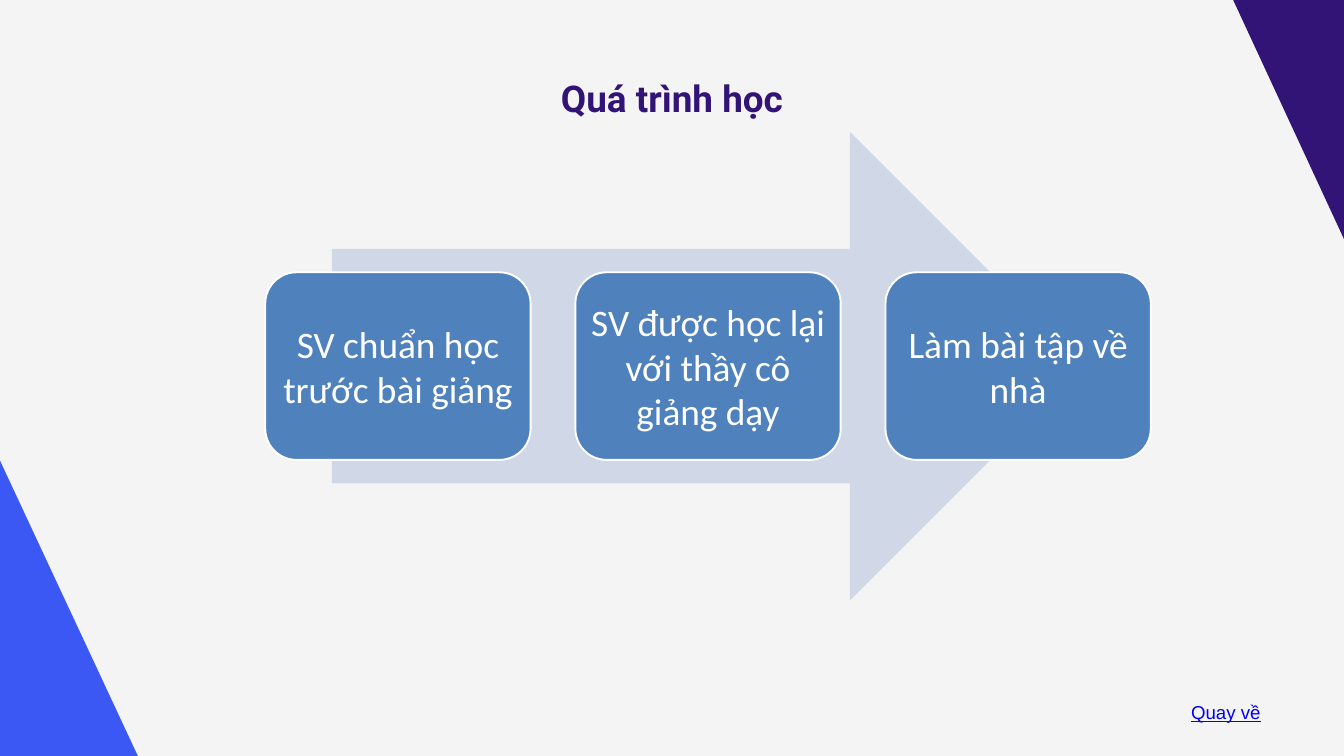
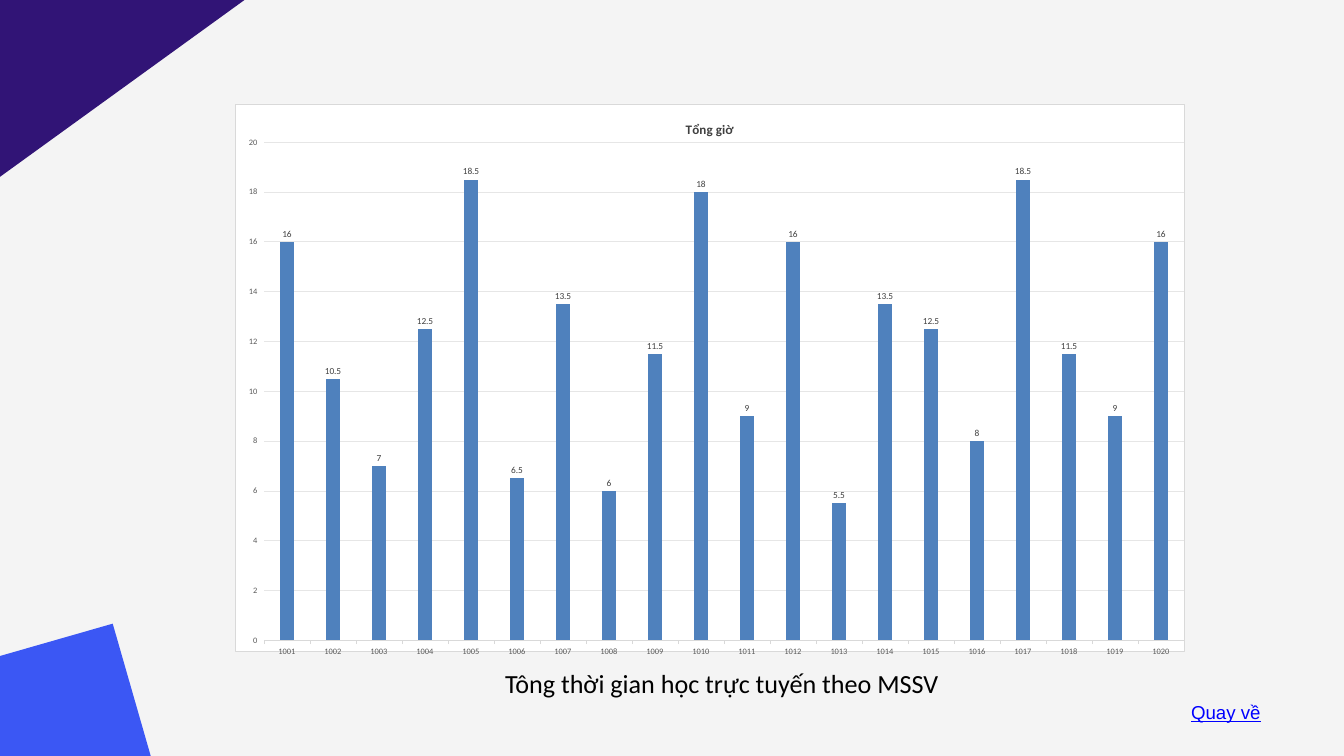
from dataclasses import dataclass
from typing import NamedTuple

from lxml import etree
from pptx import Presentation
from pptx import util as u
from pptx.chart.data import CategoryChartData
from pptx.dml.color import RGBColor
from pptx.enum import chart as charts, shapes, text
from pptx.oxml import parse_xml
from pptx.oxml.ns import nsdecls, qn

PX = 9525  # EMU in one px, 96 px to the inch


@dataclass(frozen=True)
class Theme:
    paper: str = "F4F4F4"
    purple: str = "311476"
    blue: str = "3B57F4"
    link: str = "0000FF"
    arrow: str = "D0D8E8"
    accent: str = "4F81BD"
    white: str = "FFFFFF"
    black: str = "000000"
    dark: str = "404040"
    grey: str = "595959"
    border: str = "D9D9D9"
    grid: str = "E6E6E6"
    heading: str = "Roboto"
    body: str = "Calibri"
    plain: str = "Arial"
    title_size: float = 39.5
    card_size: float = 40
    caption_size: float = 28
    link_size: float = 20
    chart_title_size: float = 14
    label_size: float = 10
    axis_size: float = 9


THEME = Theme()


class Box(NamedTuple):
    left: int
    top: int
    width: int
    height: int

    def emu(self) -> list[int]:
        return [side * PX for side in self]


class Corner(NamedTuple):
    points: list[tuple[int, int]]
    color: str


TITLE_BOX = Box(430, 108, 1060, 62)
LINK_BOX = Box(1692, 996, 228, 74)
ARROW_BOX = Box(474, 188, 1075, 670)
FIRST_CARD = Box(379, 389, 379, 268)
CARD_STEP = 443
CHART_BOX = Box(336, 148, 1356, 790)
CAPTION_BOX = Box(712, 948, 745, 57)

PROCESS_CORNERS = [
    Corner([(1758, -8), (2012, -8), (2012, 540)], THEME.purple),
    Corner([(203, 1093), (0, 1093), (0, 658)], THEME.blue),
]
HOURS_CORNERS = [
    Corner([(-219, 1000), (161, 891), (315, 1427)], THEME.blue),
    Corner([(-71, 304), (435, -62), (-136, -316)], THEME.purple),
]
STEPS = ["SV chuẩn học trước bài giảng",
         "SV được học lại với thầy cô giảng dạy",
         "Làm bài tập về nhà"]
HOURS = [16, 10.5, 7, 12.5, 18.5, 6.5, 13.5, 6, 11.5, 18,
         9, 16, 5.5, 13.5, 12.5, 8, 18.5, 11.5, 9, 16]
FIRST_STUDENT = 1001


def rgb(color: str) -> RGBColor:
    return RGBColor.from_string(color)


def style_font(font, size: float, color: str, name: str = THEME.body, bold: bool = False) -> None:
    font.size, font.name, font.bold = u.Pt(size), name, bold
    font.color.rgb = rgb(color)


def write(frame, words: str, *, size: float, color: str, name: str = THEME.body,
          bold: bool = False, underline: bool = False, align=text.PP_ALIGN.LEFT,
          anchor=text.MSO_ANCHOR.TOP, inset: int | None = None,
          spacing: float | None = None) -> None:
    """Fill a text frame with one formatted paragraph."""
    frame.word_wrap = True
    frame.auto_size = text.MSO_AUTO_SIZE.NONE
    frame.vertical_anchor = anchor
    if inset is not None:
        frame.margin_left = frame.margin_right = inset * PX
        frame.margin_top = frame.margin_bottom = inset * PX
    para = frame.paragraphs[0]
    para.alignment = align
    para.space_before = u.Pt(0)
    if spacing:
        para.line_spacing = u.Pt(spacing)
    span = para.add_run()
    span.text = words
    style_font(span.font, size, color, name, bold)
    if underline:
        span.font.underline = True


def paint(shape, fill: str, line: str | None = None) -> None:
    shape.shadow.inherit = False
    shape.fill.solid()
    shape.fill.fore_color.rgb = rgb(fill)
    if line:
        shape.line.color.rgb = rgb(line)
        shape.line.width = u.Pt(2)
    else:
        shape.line.fill.background()


def add_text(page, box: Box, words: str, **style) -> None:
    write(page.shapes.add_textbox(*box.emu()).text_frame, words, **style)


def add_page(deck, layout: int, corners: list[Corner]):
    """Start a slide with its corner triangles and the return label."""
    page = deck.slides.add_slide(deck.slide_layouts[layout])
    for corner in corners:
        builder = page.shapes.build_freeform(*corner.points[0], scale=PX)
        builder.add_line_segments(corner.points[1:], close=True)
        paint(builder.convert_to_shape(), corner.color)
    add_text(page, LINK_BOX, "Quay về", size=THEME.link_size, color=THEME.link,
             name=THEME.plain, underline=True)
    return page


def add_process(deck) -> None:
    page = add_page(deck, 5, PROCESS_CORNERS)
    title = page.shapes.title
    title.left, title.top, title.width, title.height = TITLE_BOX.emu()
    write(title.text_frame, "Quá trình học", size=THEME.title_size, color=THEME.purple,
          name=THEME.heading, bold=True, align=text.PP_ALIGN.CENTER, inset=0, spacing=47.3)

    # Arrow behind the row of step cards
    arrow = page.shapes.add_shape(shapes.MSO_SHAPE.RIGHT_ARROW, *ARROW_BOX.emu())
    paint(arrow, THEME.arrow)
    for index, step in enumerate(STEPS):
        box = FIRST_CARD._replace(left=FIRST_CARD.left + index * CARD_STEP)
        card = page.shapes.add_shape(shapes.MSO_SHAPE.ROUNDED_RECTANGLE, *box.emu())
        paint(card, THEME.accent, THEME.white)
        write(card.text_frame, step, size=THEME.card_size, color=THEME.white,
              align=text.PP_ALIGN.CENTER, anchor=text.MSO_ANCHOR.MIDDLE, inset=3)


def frame_chart(chart) -> None:
    """Give the chart its white panel and a fixed inner plot area."""
    chart_space = chart._chartSpace
    panel = parse_xml(
        f'<c:spPr {nsdecls("c", "a")}>'
        f'<a:solidFill><a:srgbClr val="{THEME.white}"/></a:solidFill>'
        f'<a:ln w="{u.Pt(0.75)}"><a:solidFill><a:srgbClr val="{THEME.border}"/>'
        '</a:solidFill></a:ln></c:spPr>')
    chart_space.find(qn("c:chart")).addnext(panel)

    plot_area = chart_space.chart.plotArea
    for old in plot_area.findall(qn("c:layout")):
        plot_area.remove(old)
    layout = etree.Element(qn("c:layout"))
    manual = etree.SubElement(layout, qn("c:manualLayout"))
    settings = {"layoutTarget": "inner", "xMode": "edge", "yMode": "edge",
                "x": 0.03, "y": 0.07, "w": 0.97, "h": 0.91}
    for tag, value in settings.items():
        etree.SubElement(manual, qn(f"c:{tag}")).set("val", str(value))
    plot_area.insert(0, layout)


def add_hours_chart(page) -> None:
    data = CategoryChartData()
    data.categories = [str(FIRST_STUDENT + index) for index in range(len(HOURS))]
    data.add_series("Tổng giờ", HOURS)
    chart = page.shapes.add_chart(charts.XL_CHART_TYPE.COLUMN_CLUSTERED,
                                  *CHART_BOX.emu(), data).chart
    style_font(chart.font, THEME.label_size, THEME.black)
    chart.has_legend = False
    chart.has_title = True
    span = chart.chart_title.text_frame.paragraphs[0].add_run()
    span.text = "Tổng giờ"
    style_font(span.font, THEME.chart_title_size, THEME.dark, bold=True)

    # Columns and their values
    plot = chart.plots[0]
    plot.gap_width, plot.overlap, plot.vary_by_categories = 246, -28, False
    columns = plot.series[0].format.fill
    columns.solid()
    columns.fore_color.rgb = rgb(THEME.accent)
    plot.has_data_labels = True
    labels = plot.data_labels
    labels.show_value = True
    labels.position = charts.XL_LABEL_POSITION.OUTSIDE_END
    style_font(labels.font, THEME.label_size, THEME.dark)

    # Axes and grid
    students, hours = chart.category_axis, chart.value_axis
    for axis in (students, hours):
        style_font(axis.tick_labels.font, THEME.axis_size, THEME.grey)
        axis.major_tick_mark = charts.XL_TICK_MARK.OUTSIDE
    hours.minimum_scale, hours.maximum_scale, hours.major_unit = 0, 20, 2
    hours.format.line.fill.background()
    hours.has_major_gridlines = True
    for line, color in ((students.format.line, THEME.border),
                        (hours.major_gridlines.format.line, THEME.grid)):
        line.color.rgb = rgb(color)
        line.width = u.Pt(0.75)
    frame_chart(chart)


def add_hours(deck) -> None:
    page = add_page(deck, 6, HOURS_CORNERS)
    add_hours_chart(page)
    add_text(page, CAPTION_BOX, "Tông thời gian học trực tuyến theo MSSV",
             size=THEME.caption_size, color=THEME.black)


def main() -> None:
    deck = Presentation()
    deck.slide_width, deck.slide_height = 1920 * PX, 1080 * PX
    background = deck.slide_master.background.fill
    background.solid()
    background.fore_color.rgb = rgb(THEME.paper)
    add_process(deck)
    add_hours(deck)
    deck.save("out.pptx")


if __name__ == "__main__":
    main()
